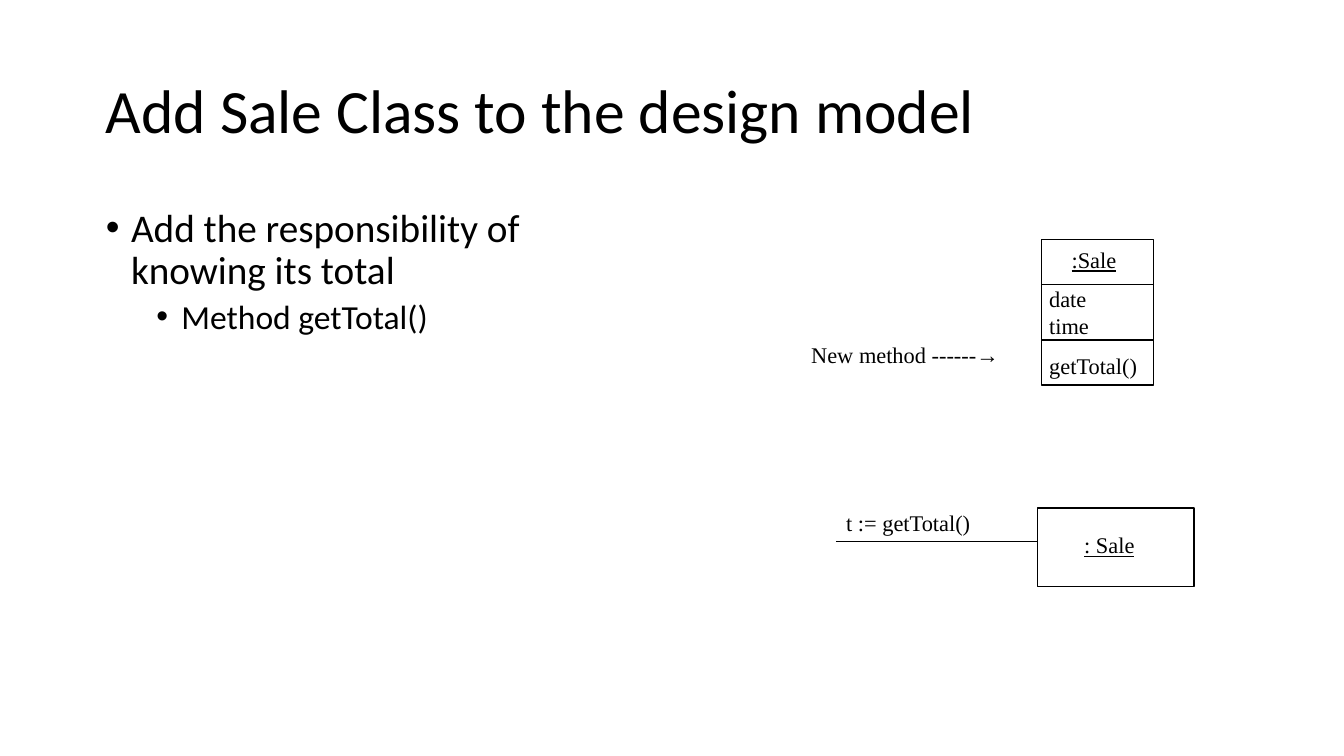
from dataclasses import dataclass

from lxml.etree import SubElement
from pptx import Presentation
from pptx.dml.color import RGBColor
from pptx.enum.shapes import MSO_CONNECTOR, MSO_SHAPE
from pptx.enum.text import MSO_ANCHOR, MSO_AUTO_SIZE, PP_ALIGN
from pptx.oxml.ns import qn
from pptx.shapes.shapetree import GroupShapes
from pptx.text.text import TextFrame
from pptx.util import Emu, Pt

PX = 9525  # 96 px to the inch


@dataclass(frozen=True)
class Theme:
    ink: RGBColor = RGBColor(0, 0, 0)
    paper: RGBColor = RGBColor(255, 255, 255)
    font: str = "Calibri"
    diagram_font: str = "Times New Roman"
    title: float = 33
    body: float = 21
    sub: float = 18
    label: float = 12
    line: float = 0.75


@dataclass(frozen=True)
class Box:
    x: int
    y: int
    w: int
    h: int

    def emu(self) -> tuple[Emu, ...]:
        return tuple(px(v) for v in (self.x, self.y, self.w, self.h))


@dataclass(frozen=True)
class Label:
    box: Box
    lines: tuple[str, ...]
    underline: bool = False


@dataclass(frozen=True)
class Rule:
    x1: int
    x2: int
    y: int


@dataclass(frozen=True)
class Diagram:
    frame: Box
    rules: tuple[Rule, ...]
    labels: tuple[Label, ...]


@dataclass(frozen=True)
class Bullet:
    text: str
    level: int
    size: float
    margin: int
    before: float


T = Theme()
HANG = 18

BULLETS = (
    Bullet("Add the responsibility of knowing its total", 0, T.body, HANG, 0),
    Bullet("Method getTotal()", 1, T.sub, 3 * HANG, 3.8),
)

CLASS_BOX = Box(744, 171, 80, 104)
OBJECT_BOX = Box(741, 363, 112, 56)
DIAGRAMS = (
    # Class with attributes and the new method
    Diagram(
        CLASS_BOX,
        tuple(Rule(CLASS_BOX.x, CLASS_BOX.x + CLASS_BOX.w, y) for y in (203, 243)),
        (
            Label(Box(756, 171, 52, 29), (":Sale",), True),
            Label(Box(740, 199, 48, 48), ("date", "time")),
            Label(Box(740, 247, 84, 29), ("getTotal()",)),
            Label(Box(570, 239, 154, 29), ("New method ------→",)),
        ),
    ),
    # Message sent to the sale object
    Diagram(
        OBJECT_BOX,
        (Rule(597, OBJECT_BOX.x, 387),),
        (
            Label(Box(595, 359, 109, 29), ("t := getTotal()",)),
            Label(Box(765, 375, 56, 29), (": Sale",), True),
        ),
    ),
)


def px(n: int) -> Emu:
    return Emu(n * PX)


def place(sp, box: Box) -> None:
    sp.left, sp.top, sp.width, sp.height = box.emu()


def add_run(p, text: str, size: float, font: str, underline: bool = False) -> None:
    r = p.add_run()
    r.text = text
    r.font.size = Pt(size)
    r.font.name = font
    r.font.color.rgb = T.ink
    if underline:
        r.font.underline = True


def next_paragraph(tf: TextFrame, i: int):
    return tf.paragraphs[0] if i == 0 else tf.add_paragraph()


def fill_title(sp, text: str) -> None:
    place(sp, Box(66, 29, 828, 104))
    tf = sp.text_frame
    tf.auto_size = MSO_AUTO_SIZE.NONE
    tf.vertical_anchor = MSO_ANCHOR.MIDDLE
    p = tf.paragraphs[0]
    p.alignment = PP_ALIGN.LEFT
    p.line_spacing = 0.9
    add_run(p, text, T.title, T.font)


def fill_body(sp, bullets: tuple[Bullet, ...]) -> None:
    place(sp, Box(66, 144, 408, 343))
    tf = sp.text_frame
    tf.auto_size = MSO_AUTO_SIZE.NONE
    tf.vertical_anchor = MSO_ANCHOR.TOP
    for i, b in enumerate(bullets):
        p = next_paragraph(tf, i)
        p.level = b.level
        p.line_spacing = 0.9
        p.space_before = Pt(b.before)
        pPr = p._p.get_or_add_pPr()
        pPr.set("marL", str(px(b.margin)))
        pPr.set("indent", str(px(-HANG)))
        SubElement(pPr, qn("a:buFont"), typeface="Arial")
        SubElement(pPr, qn("a:buChar"), char="•")
        add_run(p, b.text, b.size, T.font)


def add_frame(shapes: GroupShapes, box: Box) -> None:
    sp = shapes.add_shape(MSO_SHAPE.RECTANGLE, *box.emu())
    sp.shadow.inherit = False
    sp.fill.background()
    sp.line.color.rgb = T.ink
    sp.line.width = Pt(T.line)


def add_rule(shapes: GroupShapes, rule: Rule) -> None:
    y = px(rule.y)
    c = shapes.add_connector(MSO_CONNECTOR.STRAIGHT, px(rule.x1), y, px(rule.x2), y)
    c.line.color.rgb = T.ink
    c.line.width = Pt(T.line)
    SubElement(c._element.spPr, qn("a:effectLst"))


def add_label(shapes: GroupShapes, label: Label) -> None:
    tf = shapes.add_textbox(*label.box.emu()).text_frame
    tf.word_wrap = False
    tf.auto_size = MSO_AUTO_SIZE.SHAPE_TO_FIT_TEXT
    for i, line in enumerate(label.lines):
        add_run(next_paragraph(tf, i), line, T.label, T.diagram_font, label.underline)


def add_diagram(s, d: Diagram) -> None:
    shapes = s.shapes.add_group_shape().shapes
    add_frame(shapes, d.frame)
    for rule in d.rules:
        add_rule(shapes, rule)
    for label in d.labels:
        add_label(shapes, label)


def main() -> None:
    prs = Presentation()
    prs.slide_width, prs.slide_height = px(960), px(540)
    s = prs.slides.add_slide(prs.slide_layouts[1])
    s.background.fill.solid()
    s.background.fill.fore_color.rgb = T.paper

    # Title and list
    fill_title(s.shapes.title, "Add Sale Class to the design model")
    fill_body(s.placeholders[1], BULLETS)

    # Design model diagrams
    for d in DIAGRAMS:
        add_diagram(s, d)
    prs.save("out.pptx")


if __name__ == "__main__":
    main()
